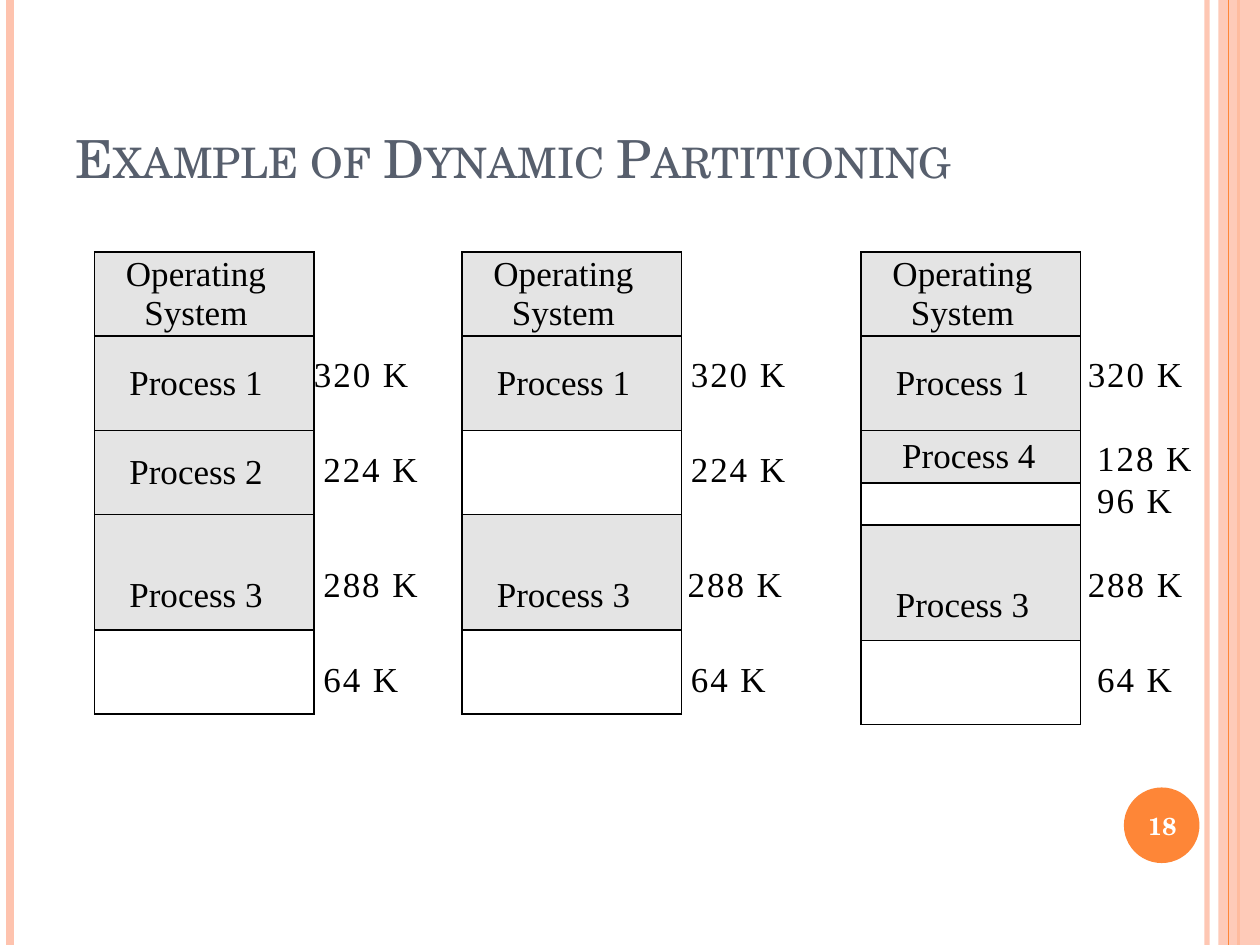
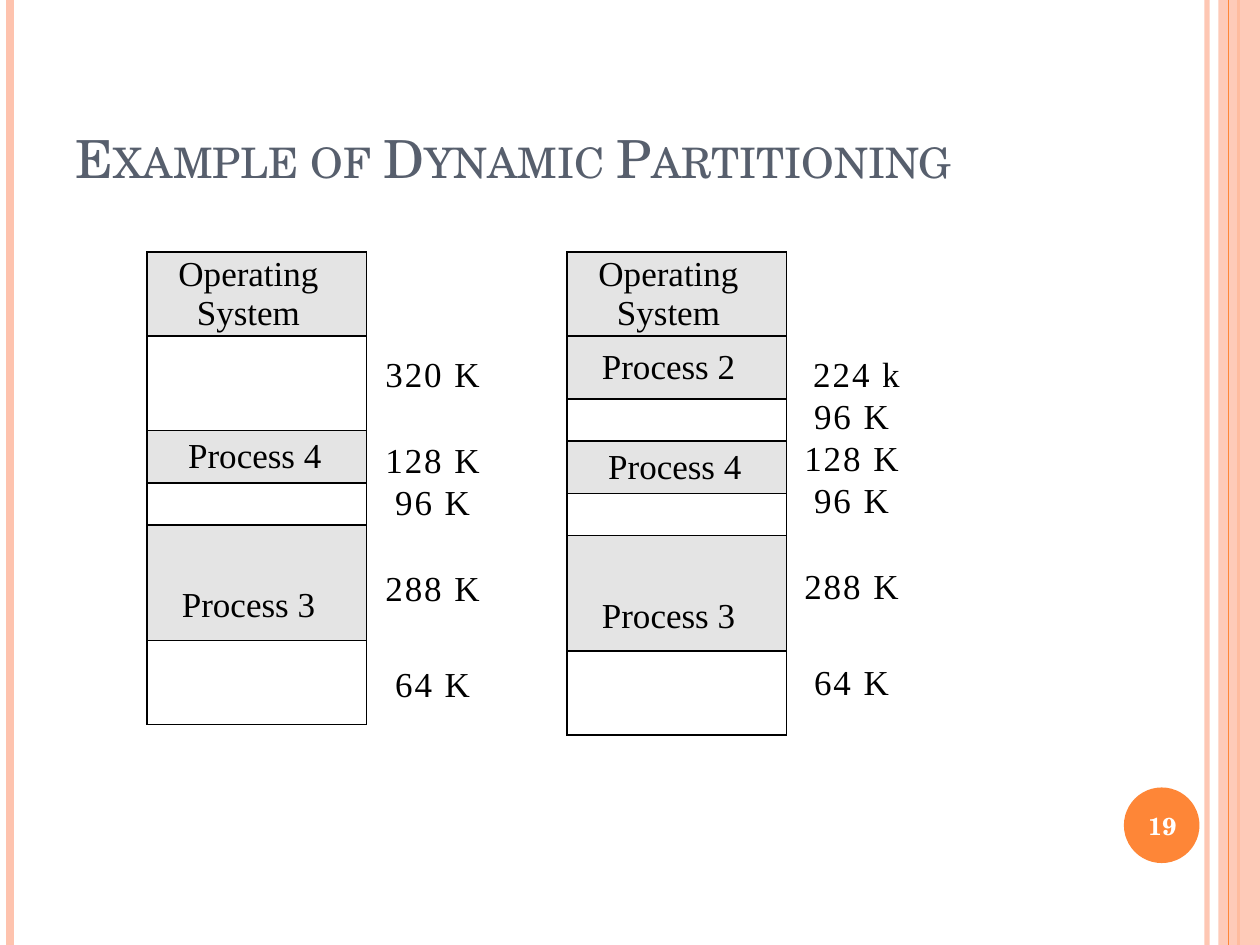
"""Builds two slides that show dynamic memory partitioning as stacked tables."""
from lxml.etree import SubElement
from pptx import Presentation
from pptx.dml.color import RGBColor
from pptx.enum.shapes import MSO_CONNECTOR, MSO_SHAPE
from pptx.enum.text import MSO_ANCHOR, PP_ALIGN
from pptx.oxml import parse_xml
from pptx.oxml.ns import nsdecls, qn
from pptx.util import Inches, Pt

ORANGE, PEACH, SLATE = "FE8637", "FEC3AE", "575F6D"
BLACK, WHITE, GREY = "000000", "FFFFFF", "E4E4E4"
HEAD_FONT, BODY_FONT = "TeX Gyre Schola", "Times New Roman"
TITLE = "Example of Dynamic Partitioning"
LEFT, CENTER = PP_ALIGN.LEFT, PP_ALIGN.CENTER

UNIT = Inches(1) / 12
TABLE_TOP, TABLE_WIDTH = 24, 20.9
LABEL_TOP, LABEL_WIDTH = 33.6, 9.4

OS, P1, P2 = "Operating System", "Process 1", "Process 2"
P3, P4, FREE = "Process 3", "Process 4", ""

BANDS = [
    (9.58, PEACH, 3, 93),
    (0.08, PEACH, 4.5, 100),
    (9.83, ORANGE, 1.5, 100),
    (9.67, PEACH, None, 87),
    (9.75, ORANGE, 0.75, 100),
]

SLIDES = [
    {
        "number": "18",
        "tables": [
            (9, [(OS, 8), (P1, 9), (P2, 8), (P3, 11), (FREE, 8)]),
            (44, [(OS, 8), (P1, 9), (FREE, 8), (P3, 11), (FREE, 8)]),
            (82, [(OS, 8), (P1, 9), (P4, 5), (FREE, 4), (P3, 11), (FREE, 8)]),
        ],
        "labels": [
            (29.9, 0, LEFT, [("320 K", 0)]),
            (30.8, 9, LEFT, [("224 K", 0)]),
            (30.8, 20, LEFT, [("288 K", 0)]),
            (30.8, 29, LEFT, [("64 K", 0)]),
            (65.8, 0, LEFT, [("320 K", 0)]),
            (65.8, 9, LEFT, [("224 K", 0)]),
            (65.5, 20, LEFT, [("288 K", 0)]),
            (65.8, 29, LEFT, [("64 K", 0)]),
            (103.6, 0, LEFT, [("320 K", 0)]),
            (104.5, 8, LEFT, [("128 K", 0), ("96 K", 0)]),
            (103.6, 20, LEFT, [("288 K", 0)]),
            (104.5, 29, LEFT, [("64 K", 0)]),
        ],
    },
    {
        "number": "19",
        "tables": [
            (14, [(OS, 8), (FREE, 9), (P4, 5), (FREE, 4), (P3, 11), (FREE, 8)]),
            (54, [(OS, 8), (P2, 6), (FREE, 4), (P4, 5), (FREE, 4), (P3, 11), (FREE, 8)]),
        ],
        "labels": [
            (36.5, 0, CENTER, [("320 K", 0), ("128 K", 25), ("96 K", 0),
                               ("288 K", 25), ("64 K", 31)]),
            (76.4, 0, CENTER, [("224 k", 0), ("96 K", 0), ("128 K", 0), ("96 K", 0),
                               ("288 K", 25), ("64 K", 31)]),
        ],
    },
]


def rgb(value):
    return RGBColor.from_string(value)


def style(p, font, size, color, align=LEFT, **attrs):
    p.alignment = align
    for r in p.runs:
        r.font.name, r.font.size = font, Pt(size)
        r.font.color.rgb = rgb(color)
        for name, value in attrs.items():
            r.font._element.set(name, value)


prs = Presentation()
prs.slide_width, prs.slide_height = Inches(10), Inches(7.5)

for page in SLIDES:
    s = prs.slides.add_slide(prs.slide_layouts[6])

    for x, color, weight, alpha in BANDS:
        if weight is None:
            sp = s.shapes.add_shape(MSO_SHAPE.RECTANGLE, Inches(x), 0,
                                    prs.slide_width - Inches(x), prs.slide_height)
            sp.shadow.inherit = False
            sp.line.fill.background()
            sp.fill.solid()
            sp.fill.fore_color.rgb = rgb(color)
        else:
            sp = s.shapes.add_connector(MSO_CONNECTOR.STRAIGHT, Inches(x), 0,
                                        Inches(x), prs.slide_height)
            sp.line.color.rgb = rgb(color)
            sp.line.width = Pt(weight)
            SubElement(sp._element.spPr, qn("a:effectLst"))
        if alpha < 100:
            fill = next(sp._element.spPr.iter(qn("a:srgbClr")))
            SubElement(fill, qn("a:alpha"), val=str(alpha * 1000))

    sp = s.shapes.add_shape(MSO_SHAPE.OVAL, Inches(8.92), Inches(6.25), Inches(0.6), Inches(0.6))
    sp.shadow.inherit = False
    sp.line.fill.background()
    sp.fill.solid()
    sp.fill.fore_color.rgb = rgb(ORANGE)

    tf = s.shapes.add_textbox(Inches(0.5), Inches(0.3), Inches(8.17), Inches(1.25)).text_frame
    tf.word_wrap = True
    tf.vertical_anchor = MSO_ANCHOR.BOTTOM
    tf.text = TITLE
    style(tf.paragraphs[0], HEAD_FONT, 30, SLATE, cap="small")

    tf = s.shapes.add_textbox(Inches(8.89), Inches(6.27), Inches(0.67), Inches(0.57)).text_frame
    tf.word_wrap = True
    tf.vertical_anchor = MSO_ANCHOR.MIDDLE
    tf.text = page["number"]
    style(tf.paragraphs[0], HEAD_FONT, 14, WHITE, CENTER, b="1")

    for x, y, align, lines in page["labels"]:
        tf = s.shapes.add_textbox(int(x * UNIT), int((LABEL_TOP + y) * UNIT),
                                  int(LABEL_WIDTH * UNIT), int(4 * len(lines) * UNIT)).text_frame
        tf.word_wrap = True
        tf.margin_left = tf.margin_right = tf.margin_top = tf.margin_bottom = 0
        tf.text = "\n".join(text for text, before in lines)
        for p, (text, before) in zip(tf.paragraphs, lines):
            p.line_spacing, p.space_before = Pt(24), Pt(before)
            style(p, BODY_FONT, 20, BLACK, align, spc="110")
            if text.endswith("k"):
                p._p.get_or_add_pPr().set("marL", str(Inches(0.08)))

    for x, blocks in page["tables"]:
        height = sum(rows for name, rows in blocks)
        table = s.shapes.add_table(len(blocks), 1, int(x * UNIT), int(TABLE_TOP * UNIT),
                                   int(TABLE_WIDTH * UNIT), int(height * UNIT)).table
        table.first_row = table.horz_banding = False
        for i, (name, rows) in enumerate(blocks):
            table.rows[i].height = int(rows * UNIT)
            cell = table.cell(i, 0)
            cell.margin_left = cell.margin_bottom = 0
            cell.margin_right = Inches(0.03 if name == P4 else 0.13)
            cell.margin_top = Inches(0.37 if name == P3 else 0)
            cell.vertical_anchor = MSO_ANCHOR.MIDDLE
            for side in "LRTB":
                cell._tc.get_or_add_tcPr().append(parse_xml(
                    f'<a:ln{side} {nsdecls("a")} w="12700"><a:solidFill>'
                    f'<a:srgbClr val="{BLACK}"/></a:solidFill></a:ln{side}>'))
            if name == FREE:
                cell.fill.background()
            else:
                cell.fill.solid()
                cell.fill.fore_color.rgb = rgb(GREY)
                cell.text_frame.text = name
                style(cell.text_frame.paragraphs[0], BODY_FONT, 20, BLACK, CENTER)

prs.save("out.pptx")
